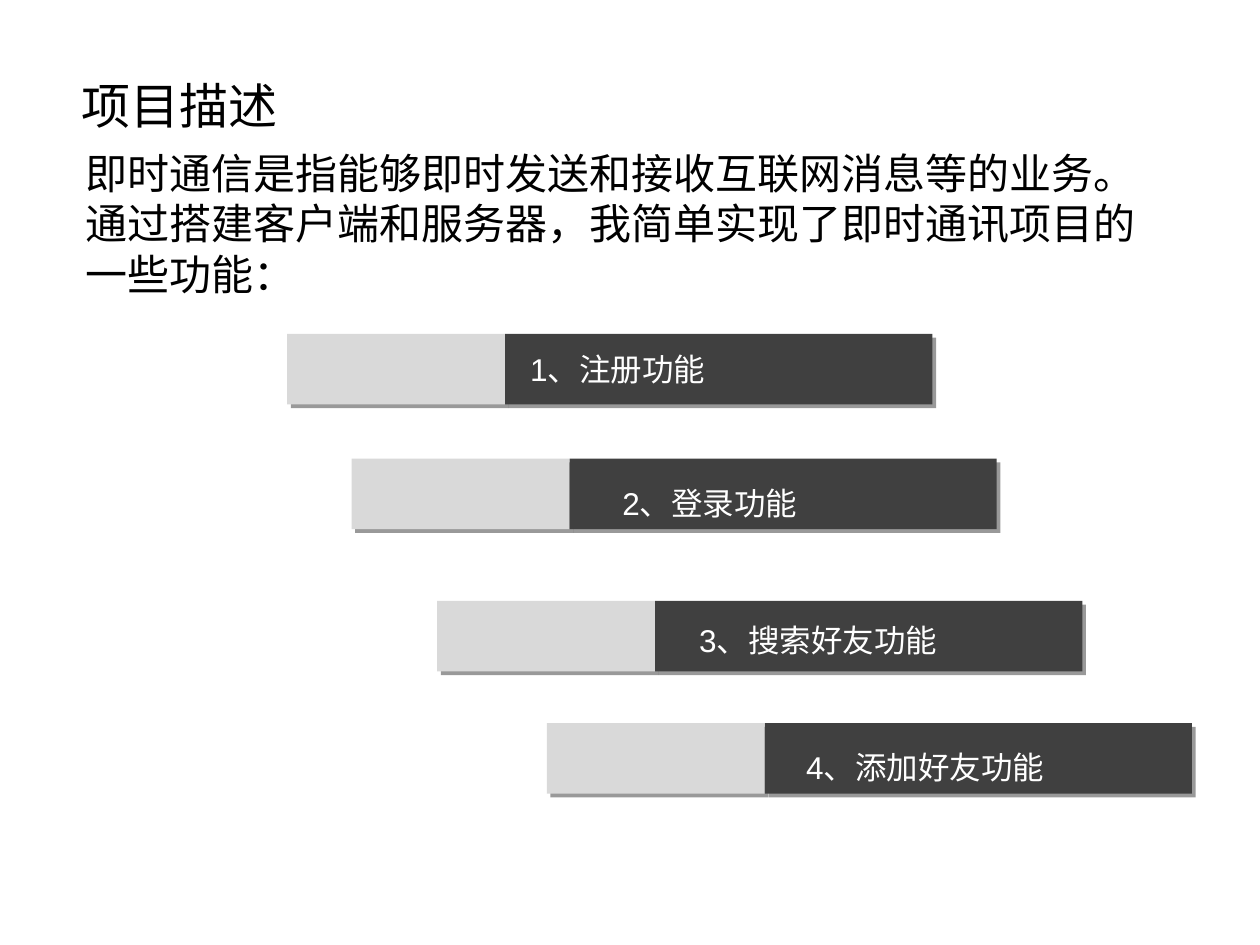
import dataclasses
import lxml.etree
import pptx
import pptx.dml.color
import pptx.enum.shapes
import pptx.enum.text
import pptx.oxml
import pptx.oxml.ns
import pptx.util

RGB = pptx.dml.color.RGBColor
BLACK = RGB(0, 0, 0)
WHITE = RGB(255, 255, 255)
LIGHT = RGB(0xD9, 0xD9, 0xD9)
DARK = RGB(0x40, 0x40, 0x40)

COLS, ROWS = 100, 75
CELL = pptx.util.Inches(10) // COLS
TAB_W, BAR_W, BAR_H = 17.3, 33.9, 5.6

SHADOW = (
    '<a:effectLst xmlns:a="http://schemas.openxmlformats.org/drawingml/2006/main">'
    '<a:outerShdw blurRad="0" dist="38100" dir="2700000" algn="tl" rotWithShape="0">'
    '<a:srgbClr val="000000"><a:alpha val="40000"/></a:srgbClr>'
    '</a:outerShdw></a:effectLst>'
)


@dataclasses.dataclass
class Box:
    left: float
    top: float
    width: float
    height: float

    def span(self) -> list[int]:
        return [round(n * CELL) for n in dataclasses.astuple(self)]


@dataclasses.dataclass
class Step:
    text: str
    left: float
    top: float
    label: Box
    wrap: bool = True


STEPS = [
    Step("1、注册功能", 22.8, 26.5, Box(41.1, 27.3, 31.8, 7)),
    Step("2、登录功能", 27.9, 36.4, Box(48.4, 37.9, 29.5, 4)),
    Step("3、搜索好友功能", 34.7, 47.7, Box(54.5, 48.8, 21.5, 4), False),
    Step("4、添加好友功能", 43.4, 57.4, Box(63, 58.9, 21.5, 4), False),
]


def style(frame, size: float, face: str, color: RGB, asian: bool = False) -> None:
    frame.vertical_anchor = pptx.enum.text.MSO_ANCHOR.TOP
    for para in frame.paragraphs:
        para.alignment = pptx.enum.text.PP_ALIGN.LEFT
        para.space_before = pptx.util.Pt(0)
        for run in para.runs:
            run.font.size = pptx.util.Pt(size)
            run.font.name = face
            run.font.color.rgb = color
            if asian:
                props = run.font._element
                east = lxml.etree.SubElement(props, pptx.oxml.ns.qn("a:ea"))
                east.set("typeface", face)


def place(shape, box: Box) -> None:
    shape.left, shape.top, shape.width, shape.height = box.span()


def draw_bar(group, box: Box, color: RGB) -> None:
    kind = pptx.enum.shapes.MSO_SHAPE.RECTANGLE
    bar = group.shapes.add_shape(kind, *box.span())
    bar.fill.solid()
    bar.fill.fore_color.rgb = color
    bar.line.fill.background()
    bar._element.spPr.append(pptx.oxml.parse_xml(SHADOW))


def draw_step(slide, step: Step) -> None:
    group = slide.shapes.add_group_shape()
    draw_bar(group, Box(step.left, step.top, TAB_W, BAR_H), LIGHT)
    draw_bar(group, Box(step.left + TAB_W, step.top, BAR_W, BAR_H), DARK)
    frame = slide.shapes.add_textbox(*step.label.span()).text_frame
    frame.word_wrap = step.wrap
    frame.text = step.text
    style(frame, 18, "Arial", WHITE)


def draw_title(slide) -> None:
    title = slide.shapes.title
    place(title, Box(5.5, 5.5, 21.7, 5.7))
    title.text_frame.text = "项目描述"
    style(title.text_frame, 28, "Noto Sans CJK SC", BLACK, True)


def draw_body(slide) -> None:
    body = slide.placeholders[1]
    place(body, Box(5.8, 11.2, 88.6, 17))
    frame = body.text_frame
    frame.text = "即时通信是指能够即时发送和接收互联网消息等的业务。"
    frame.add_paragraph().text = "通过搭建客户端和服务器，我简单实现了即时通讯项目的一些功能："
    style(frame, 24, "Noto Sans CJK JP", BLACK, True)
    for para in frame.paragraphs:
        props = para._p.get_or_add_pPr()
        props.set("marL", "0")
        props.set("indent", "0")
        lxml.etree.SubElement(props, pptx.oxml.ns.qn("a:buNone"))


def main() -> None:
    deck = pptx.Presentation()
    deck.slide_width, deck.slide_height = COLS * CELL, ROWS * CELL
    slide = deck.slides.add_slide(deck.slide_layouts[1])
    draw_title(slide)
    draw_body(slide)
    for step in STEPS:
        draw_step(slide, step)
    deck.save("out.pptx")


if __name__ == "__main__":
    main()
